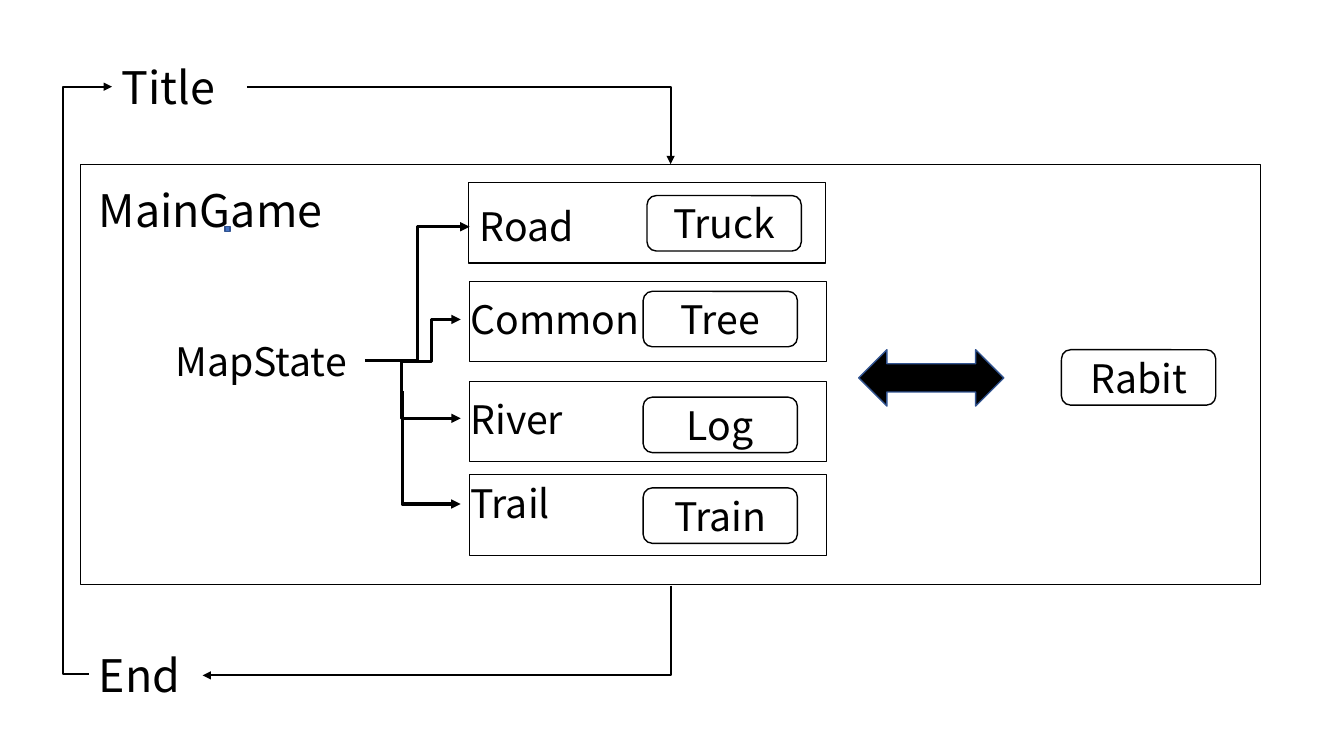
"""Game state diagram: Title, MainGame with its map states, and End."""
from pptx import Presentation
from pptx.dml.color import RGBColor
from pptx.enum.shapes import MSO_CONNECTOR, MSO_SHAPE
from pptx.enum.text import MSO_ANCHOR, MSO_AUTO_SIZE, PP_ALIGN
from pptx.oxml.ns import qn
from pptx.util import Pt
from lxml import etree

RECT, ROUNDED = MSO_SHAPE.RECTANGLE, MSO_SHAPE.ROUNDED_RECTANGLE
DOUBLE_ARROW = MSO_SHAPE.LEFT_RIGHT_ARROW
ELBOW = MSO_CONNECTOR.ELBOW
MIDDLE, CENTER = MSO_ANCHOR.MIDDLE, PP_ALIGN.CENTER
GROW = MSO_AUTO_SIZE.SHAPE_TO_FIT_TEXT

THEME = {
    "font": "Noto Sans CJK KR", "scene": 32, "state": 28,
    "ink": RGBColor(0, 0, 0), "paper": RGBColor(255, 255, 255),
    "accent": RGBColor(0x44, 0x72, 0xC4), "edge": RGBColor(0x32, 0x54, 0x91),
}

deck = Presentation()
deck.slide_width, deck.slide_height = Pt(960), Pt(540)
shapes = deck.slides.add_slide(deck.slide_layouts[6]).shapes


def write(holder, words, size):
    holder.text_frame.text = words
    line = holder.text_frame.paragraphs[0]
    line.font.name, line.font.size = THEME["font"], Pt(THEME[size])
    line.font.color.rgb = THEME["ink"]
    return line


def draw(kind, box, weight, fill=None, edge="ink", words=""):
    shape = shapes.add_shape(kind, *map(Pt, box))
    shape.shadow.inherit = False
    if fill:
        shape.fill.solid()
        shape.fill.fore_color.rgb = THEME[fill]
    else:
        shape.fill.background()
    shape.line.color.rgb, shape.line.width = THEME[edge], Pt(weight)
    if words:
        shape.text_frame.vertical_anchor = MIDDLE
        write(shape, words, "state").alignment = CENTER


chip_size = (110.2, 39.6)
map_states = [
    ("Road", 335.5, 141.1, 334.8, 130.3, "Truck", 462.2, 139.7),
    ("Common", 329, 207.4, 335.5, 200.9, "Tree", 459.4, 208.1),
    ("River", 329, 278.6, 335.5, 272.2, "Log", 459.4, 283.7),
    ("Trail", 329, 339.1, 335.5, 339.1, "Train", 459.4, 348.5),
]

for state, x, y, frame_x, frame_y, *_ in map_states:
    draw(RECT, (frame_x, frame_y, 254.9, 57.6), 0.75)
for *_, obstacle, x, y in map_states:
    draw(ROUNDED, (x, y, *chip_size), 1, "paper", words=obstacle)
draw(DOUBLE_ARROW, (613.4, 249.8, 103.7, 40.3), 1, "ink", "edge")
draw(ROUNDED, (758.2, 249.8, *chip_size), 1, "paper", words="Rabit")
draw(RECT, (57.6, 117.4, 843.1, 300.2), 0.75)
draw(RECT, (160.6, 162, 3.6, 3.6), 1, "accent", "edge")

labels = [(state, x, y, 167.8, 41, "state") for state, x, y, *_ in map_states] + [
    ("MapState", 118.1, 237.6, 142.6, 41, "state"),
    ("MainGame", 63.4, 126.7, 193.7, 46.1, "scene"),
    ("Title", 79.9, 38.9, 96.5, 46.1, "scene"),
    ("End", 63.4, 459.4, 81.4, 46.1, "scene"),
]
for words, x, y, width, height, size in labels:
    label = shapes.add_textbox(Pt(x), Pt(y), Pt(width), Pt(height))
    label.text_frame.word_wrap = True
    label.text_frame.auto_size = GROW
    write(label, words, size)

transitions = [
    ((260.6, 162, 74.9, 95.8), 2.25, 0, "flipV", 50000),
    ((287.3, 228.2, 41.8, 30.2), 2.25, 0, "flipV", 50000),
    ((287.3, 258.5, 41.8, 40.3), 2.25, 0, None, -800),
    ((267.8, 298.8, 80.6, 41.8), 2.25, 270, "flipH", None),
    ((63.4, 61.9, 16.6, 419.8), 1.5, 180, "flipH", -110400),
    ((176.4, 61.9, 302.6, 55.4), 1.5, 0, None, None),
    ((280.1, 283, 64.1, 334.8), 1.5, 90, None, None),
]
for (x, y, width, height), weight, turn, flip, bend in transitions:
    arrow = shapes.add_connector(ELBOW, Pt(x), Pt(y), Pt(x + width), Pt(y + height))
    arrow.line.color.rgb, arrow.line.width = THEME["ink"], Pt(weight)
    properties = arrow._element.spPr
    placement = properties.find(qn("a:xfrm"))
    placement.set("rot", str(turn * 60000))
    if flip:
        placement.set(flip, "1")
    geometry = properties.find(qn("a:prstGeom"))
    if bend is None:
        geometry.set("prst", "bentConnector2")
    else:
        guides = geometry.find(qn("a:avLst"))
        etree.SubElement(guides, qn("a:gd"), name="adj1", fmla=f"val {bend}")
    etree.SubElement(properties.find(qn("a:ln")), qn("a:tailEnd"), type="triangle")
    etree.SubElement(properties, qn("a:effectLst"))

deck.save("out.pptx")
